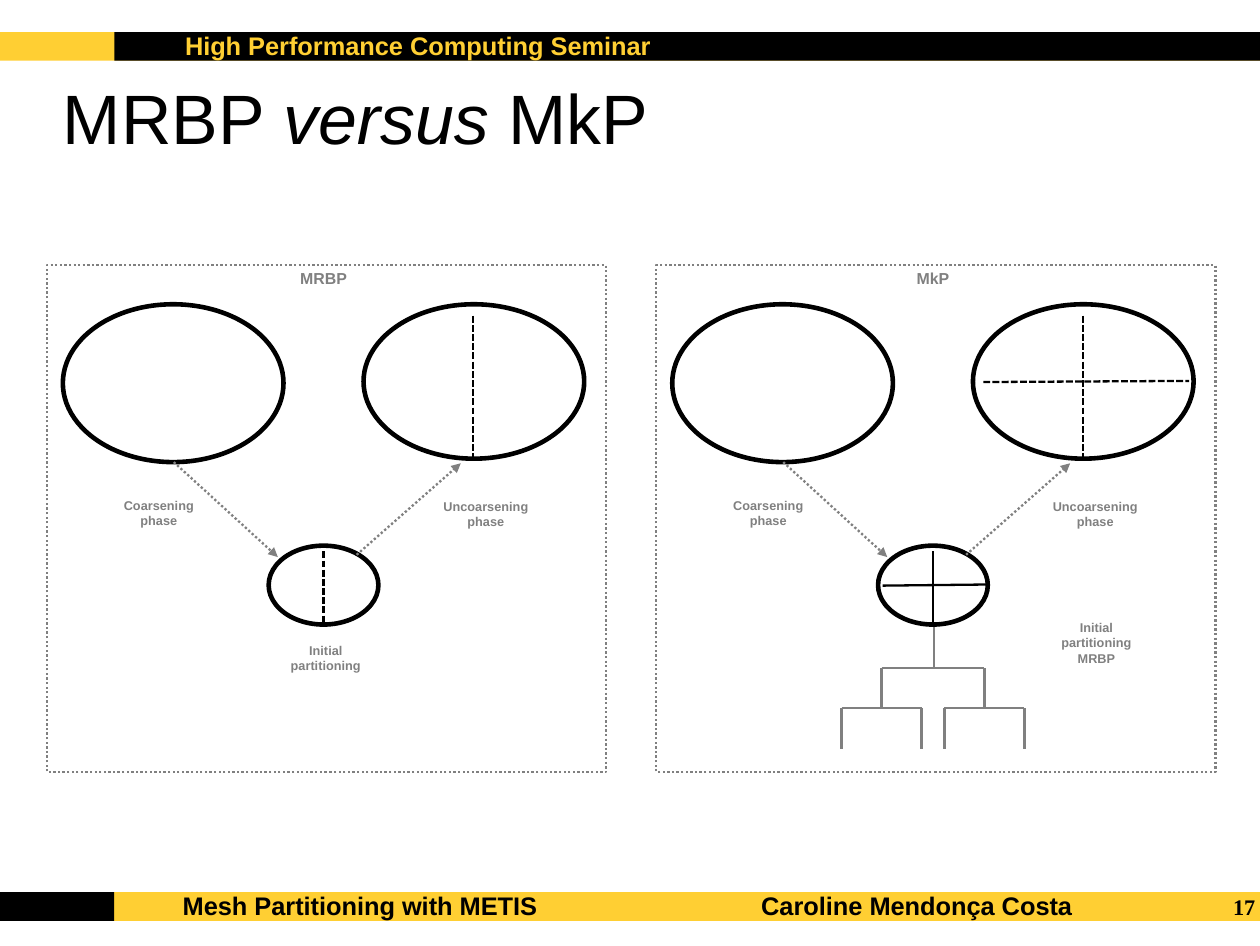
from lxml import etree
from pptx import Presentation
from pptx.dml import color
from pptx.enum import dml, shapes, text
from pptx.oxml import ns
from pptx.util import Inches, Pt

BLACK, GOLD, GRAY, WHITE = "000000", "FFCF33", "808080", "FFFFFF"
DOT, DASH = dml.MSO_LINE.ROUND_DOT, dml.MSO_LINE.SQUARE_DOT
LEFT, MID, RIGHT = text.PP_ALIGN.LEFT, text.PP_ALIGN.CENTER, text.PP_ALIGN.RIGHT
RECT, OVAL = shapes.MSO_SHAPE.RECTANGLE, shapes.MSO_SHAPE.OVAL
STEP = 5.33


def paint(target, tone):
    target.rgb = color.RGBColor.from_string(tone)


def write(parent, lines, x, y, w, h, size=16, tone=BLACK, bold=True,
          font="Arial", align=LEFT, anchor=text.MSO_ANCHOR.TOP, inset=(0.1, 0.05)):
    frame = parent.add_textbox(*map(Inches, (x, y, w, h))).text_frame
    frame.word_wrap = True
    frame.vertical_anchor = anchor
    frame.margin_left = frame.margin_right = Inches(inset[0])
    frame.margin_top = frame.margin_bottom = Inches(inset[1])
    for i, line in enumerate(lines):
        para = frame.add_paragraph() if i else frame.paragraphs[0]
        para.alignment = align
        for j, part in enumerate(line.split("*")):
            run = para.add_run()
            run.text = part
            run.font.name, run.font.size = font, Pt(size)
            run.font.bold, run.font.italic = bold, j % 2 == 1
            paint(run.font.color, tone)


def label(parent, lines, mid, y, size=8):
    write(parent, lines, mid - 0.6, y, 1.2, 0.48, size=size, tone=GRAY, align=MID)


def shape(parent, kind, x, y, w, h, fill=None, edge=None, width=2.89, dash=None):
    item = parent.add_shape(kind, *map(Inches, (x, y, w, h)))
    item.shadow.inherit = False
    if fill:
        item.fill.solid()
        paint(item.fill.fore_color, fill)
    else:
        item.fill.background()
    if edge:
        paint(item.line.color, edge)
        item.line.width = Pt(width)
        item.line.dash_style = dash
    else:
        item.line.fill.background()


def line(parent, x1, y1, x2, y2, tone=BLACK, dash=None, arrow=False):
    item = parent.add_connector(shapes.MSO_CONNECTOR.STRAIGHT,
                                *map(Inches, (x1, y1, x2, y2)))
    paint(item.line.color, tone)
    item.line.width = Pt(1.45)
    item.line.dash_style = dash
    if arrow:
        etree.SubElement(item.line._get_or_add_ln(), ns.qn("a:tailEnd"), type="triangle")
    etree.SubElement(item._element.spPr, ns.qn("a:effectLst"))


def panel(slide, x, name):
    group = slide.shapes.add_group_shape().shapes
    for dx, y, w, h in [(0.55, 2.66, 1.93, 1.38), (2.35, 4.77, 0.96, 0.69),
                        (3.18, 2.66, 1.93, 1.35)]:
        shape(group, OVAL, x + dx, y, w, h, fill=WHITE, edge=BLACK)
    line(group, x + 4.14, 2.76, x + 4.14, 4.04, dash=DASH)
    line(group, x + 1.52, 4.04, x + 2.43, 4.87, GRAY, DOT, arrow=True)
    line(group, x + 3.12, 4.85, x + 4.03, 4.05, GRAY, DOT, arrow=True)
    label(group, ["Coarsening", "phase"], x + 1.39, 4.3)
    label(group, ["Uncoarsening", "phase"], x + 4.25, 4.31)
    shape(group, RECT, x + 0.41, 2.32, 4.89, 4.43, edge=GRAY, width=1.45, dash=DOT)
    label(group, [name], x + 2.83, 2.3, size=10)
    return group


def fork(group, mid, top, half):
    line(group, mid - half, top, mid + half, top, GRAY)
    for x in (mid - half, mid + half):
        line(group, x, top, x, top + 0.36, GRAY)


def frame(slide):
    for x, y, w, tone in [(0, 0.28, 11.02, GOLD), (0, 7.8, 11.02, GOLD),
                          (1, 0.28, 10.02, BLACK), (0, 7.8, 1, BLACK)]:
        shape(slide.shapes, RECT, x, y, w, 0.25, fill=tone)
    for words, x, y, tone in [("Mesh Partitioning with METIS", 1.5, 7.73, BLACK),
                              ("Caroline Mendonça Costa", 6.56, 7.73, BLACK),
                              ("High Performance Computing Seminar", 1.52, 0.21, GOLD)]:
        write(slide.shapes, [words], x, y, 4.6, 0.35, tone=tone)
    write(slide.shapes, ["17"], 8.41, 7.81, 2.57, 0.3, size=14,
          font="Times New Roman", align=RIGHT, inset=(0, 0))


def main():
    deck = Presentation()
    deck.slide_width, deck.slide_height = Inches(11.02), Inches(8.27)
    slide = deck.slides.add_slide(deck.slide_layouts[6])
    frame(slide)
    write(slide.shapes, ["MRBP *versus* MkP"], 0.55, 0.33, 9.92, 1.38, size=44,
          bold=False, anchor=text.MSO_ANCHOR.MIDDLE, inset=(0, 0))

    left = panel(slide, 0, "MRBP")
    line(left, 2.83, 4.82, 2.83, 5.47, dash=DASH)
    label(left, ["Initial", "partitioning"], 2.85, 5.57)

    right = panel(slide, STEP, "MkP")
    line(right, 8.16, 4.82, 8.16, 5.47)
    line(right, 7.72, 5.12, 8.63, 5.11)
    line(right, 8.6, 3.34, 10.4, 3.33, dash=DASH)
    label(right, ["Initial", "partitioning", "MRBP"], 9.59, 5.37)
    line(right, 8.17, 5.48, 8.17, 5.84, GRAY)
    fork(right, 8.16, 5.84, 0.45)
    for mid in (7.71, 8.61):
        fork(right, mid, 6.19, 0.35)

    deck.save("out.pptx")


if __name__ == "__main__":
    main()
